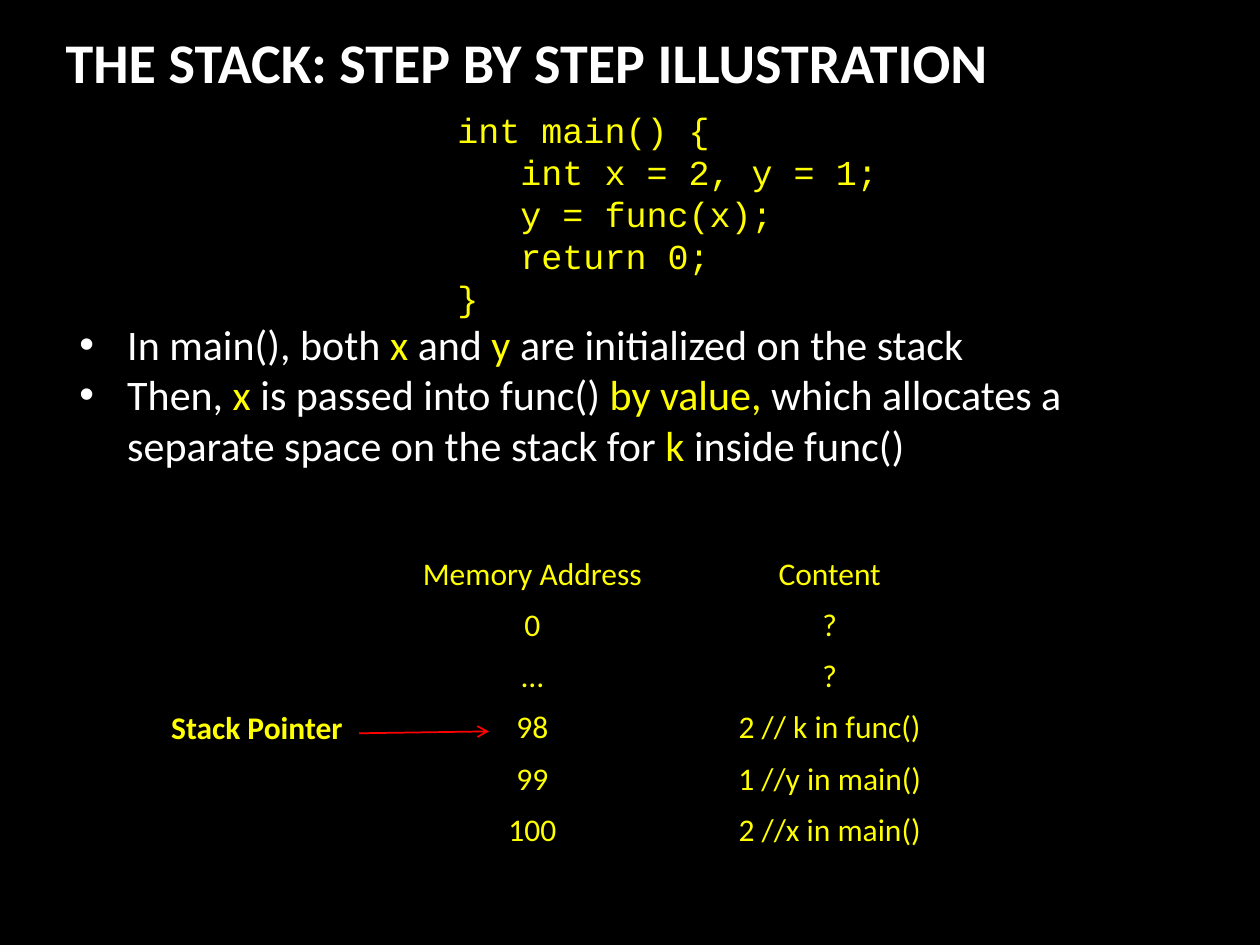
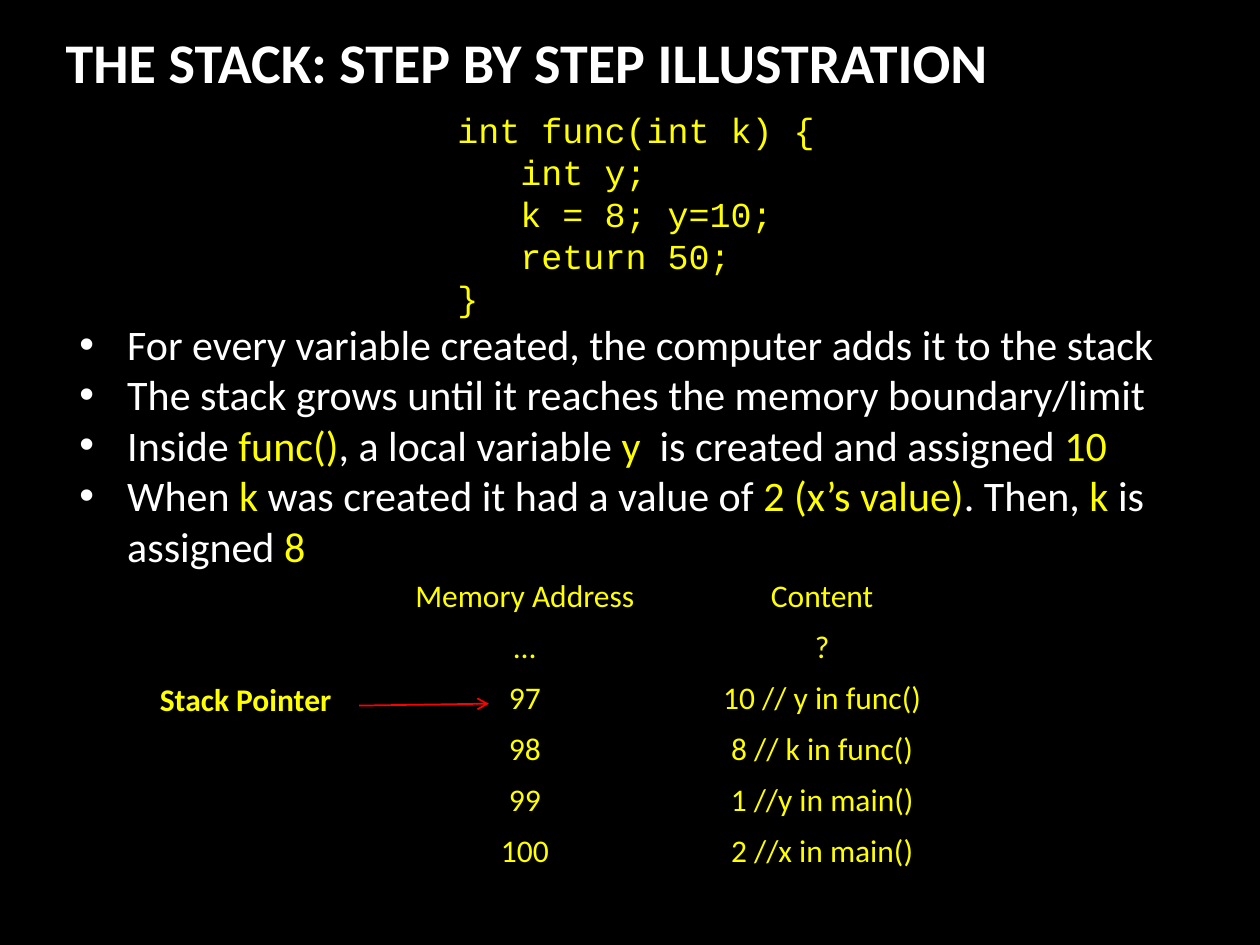
"""Builds two slides that walk through a call stack step by step."""
from lxml import etree
from pptx import Presentation, util as u
from pptx.dml.color import RGBColor
from pptx.enum import shapes, text
from pptx.oxml import ns

BLACK = RGBColor(0, 0, 0)
WHITE = RGBColor(255, 255, 255)
YELLOW = RGBColor(255, 255, 0)
RED = RGBColor(255, 0, 0)
BODY_FONT, CODE_FONT = "Calibri", "Courier New"
CELL = u.Inches(0.1)
PLAIN_TABLE = "{2D5ABB26-0587-4C30-8999-92F81FD0307C}"
TITLE = "THE STACK: STEP BY STEP ILLUSTRATION"
HEADINGS = ("Memory Address", "Content")
MAIN_ROWS = [("99", "1 //y in main()"), ("100", "2 //x in main()")]

STEPS = [
    dict(
        code=["int main() {", "   int x = 2, y = 1;", "   y = func(x);", "   return 0;", "}"],
        points=[
            "In main(), both *x* and *y *are initialized on the stack",
            "Then, *x *is passed into func() *by value,* which allocates a separate "
            "space on the stack for *k* inside func()",
        ],
        body_rows=34,
        memory=[("0", "?"), ("…", "?"), ("98", "2 // k in func()")] + MAIN_ROWS,
        table_at=(28.5, 43.6),
        label_at=(12.6, 55.7),
    ),
    dict(
        code=["int func(int k) {", "   int y;", "   k = 8; y=10;", "   return 50;", "}"],
        points=[
            "For every variable created, the computer adds it to the stack",
            "The stack grows until it reaches the memory boundary/limit",
            "Inside *func()*, a local variable *y*  is created and assigned *10*",
            "When *k* was created it had a value of *2 (x’s value)*. Then, *k* is assigned *8*",
        ],
        body_rows=46.1,
        memory=[("…", "?"), ("97", "10 // y in func()"), ("98", "8 // k in func()")] + MAIN_ROWS,
        table_at=(27.9, 45.3),
        label_at=(11.7, 53.5),
    ),
]


def grid(*counts):
    """Turn counts of grid columns or rows into lengths."""
    return [int(count * CELL) for count in counts]


def place(shape, *box):
    """Move and size a shape on the grid."""
    shape.left, shape.top, shape.width, shape.height = grid(*box)


def write(para, words, size=18, font=BODY_FONT, color=YELLOW, bold=False, align=text.PP_ALIGN.LEFT):
    """Write a paragraph; words between asterisks turn yellow."""
    para.alignment = align
    para.space_before = u.Pt(0)
    for index, part in enumerate(words.split("*")):
        if part:
            span = para.add_run()
            span.text = part
            span.font.size, span.font.name, span.font.bold = u.Pt(size), font, bold
            span.font.color.rgb = YELLOW if index % 2 else color


def indent(para, margin, hanging=0, bullet=None):
    """Set a paragraph's margin, hanging indent and bullet."""
    props = para._p.get_or_add_pPr()
    props.set("marL", str(u.Inches(margin)))
    props.set("indent", str(-u.Inches(hanging)))
    if bullet:
        etree.SubElement(props, ns.qn("a:buFont")).set("typeface", "Arial")
        etree.SubElement(props, ns.qn("a:buChar")).set("char", bullet)
    else:
        etree.SubElement(props, ns.qn("a:buNone"))


def fix_frame(frame, wrap=True):
    """Anchor a text frame at the top and keep its text size."""
    frame.auto_size = text.MSO_AUTO_SIZE.NONE
    frame.vertical_anchor = text.MSO_ANCHOR.TOP
    frame.word_wrap = wrap


def add_title(page):
    """Fill the title placeholder."""
    box = page.shapes.title
    place(box, 4.2, 1.7, 77.1, 6.4)
    fix_frame(box.text_frame)
    write(box.text_frame.paragraphs[0], TITLE, size=32, color=WHITE, bold=True)


def add_body(page, code, points, rows):
    """Fill the body placeholder with code lines, then bullets."""
    box = page.placeholders[1]
    place(box, 5.3, 8.1, 90.8, rows)
    frame = box.text_frame
    fix_frame(frame)
    for index, line in enumerate(code + points):
        para = frame.add_paragraph() if index else frame.paragraphs[0]
        if index < len(code):
            indent(para, 3)
            write(para, line, size=20, font=CODE_FONT)
        else:
            indent(para, 0.38, hanging=0.38, bullet="•")
            write(para, line, size=24, color=WHITE)


def add_memory_table(page, memory, corner):
    """Add the table of addresses and contents."""
    rows = [HEADINGS] + memory
    table = page.shapes.add_table(len(rows), 2, *grid(*corner, 47.2, 24.3)).table
    table.first_row = table.horz_banding = False
    table._tbl.tblPr.find(ns.qn("a:tableStyleId")).text = PLAIN_TABLE
    for column, width in zip(table.columns, grid(27.5, 19.7)):
        column.width = width
    for row, values in enumerate(rows):
        for column, value in enumerate(values):
            cell = table.cell(row, column)
            cell.fill.background()
            write(cell.text_frame.paragraphs[0], value, align=text.PP_ALIGN.CENTER)


def add_stack_pointer(page, left, top):
    """Add the stack pointer label and its arrow."""
    arrow_row = top + 2.5
    ends = grid(28.5, arrow_row, 38.8, arrow_row - 0.15)
    arrow = page.shapes.add_connector(shapes.MSO_CONNECTOR.STRAIGHT, *ends)
    arrow.line.color.rgb = RED
    arrow.line.width = u.Pt(1)
    etree.SubElement(arrow.line._get_or_add_ln(), ns.qn("a:tailEnd")).set("type", "arrow")
    etree.SubElement(arrow._element.spPr, ns.qn("a:effectLst"))
    box = page.shapes.add_textbox(*grid(left, top, 15.9, 4))
    fix_frame(box.text_frame, wrap=False)
    write(box.text_frame.paragraphs[0], "Stack Pointer", bold=True)


def main():
    """Build and save the deck."""
    deck = Presentation()
    deck.slide_width, deck.slide_height = grid(100, 75)
    background = deck.slide_master.background.fill
    background.solid()
    background.fore_color.rgb = BLACK
    for step in STEPS:
        page = deck.slides.add_slide(deck.slide_layouts[1])
        add_body(page, step["code"], step["points"], step["body_rows"])
        add_title(page)
        add_memory_table(page, step["memory"], step["table_at"])
        add_stack_pointer(page, *step["label_at"])
    deck.save("out.pptx")


if __name__ == "__main__":
    main()
